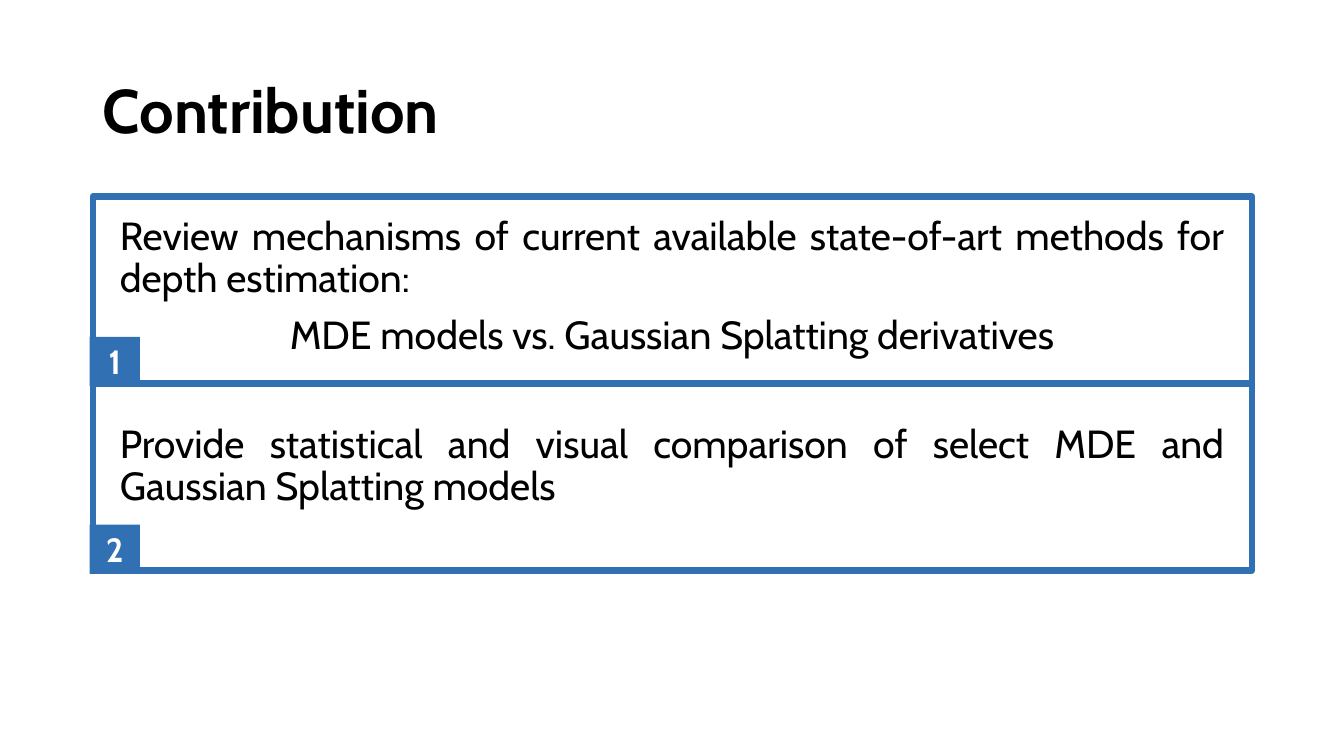
from pptx import Presentation
from pptx.dml.color import RGBColor
from pptx.enum.shapes import MSO_SHAPE
from pptx.enum.text import MSO_ANCHOR, PP_ALIGN
from pptx.util import Cm, Pt

RECTANGLE = MSO_SHAPE.RECTANGLE
TOP, MIDDLE = MSO_ANCHOR.TOP, MSO_ANCHOR.MIDDLE
LEFT, CENTER, JUSTIFY = PP_ALIGN.LEFT, PP_ALIGN.CENTER, PP_ALIGN.JUSTIFY

FONT = "Cabin"
BLUE, BLACK, WHITE = "3070B3", "000000", "FFFFFF"

PANEL_LEFT, PANEL_WIDTH, PANEL_HEIGHT = 2.34, 29.21, 4.7
FIRST_PANEL_TOP, PANEL_PITCH = 4.95, 4.73
BADGE_LEFT, BADGE_DROP = 2.26, 3.54

# Each panel: top of its text, then its paragraphs with their alignment
PANELS = [
    (5.33, [
        ("Review mechanisms of current available state-of-art methods for "
         "depth estimation:", JUSTIFY),
        ("MDE models vs. Gaussian Splatting derivatives", CENTER),
    ]),
    (10.57, [
        ("Provide statistical and visual comparison of select MDE and "
         "Gaussian Splatting models ", JUSTIFY),
    ]),
]


def color(value):
    return RGBColor.from_string(value)


def add_span(para, text, size, fill, bold=False):
    span = para.add_run()
    span.text = text
    span.font.name = FONT
    span.font.size = Pt(size)
    span.font.bold = bold
    span.font.color.rgb = color(fill)


def add_text(page, left, top, width, height, paragraphs, size,
             bold=False, anchor=TOP, space_before=0):
    """Add a text box from (text, alignment) pairs."""
    box = page.shapes.add_textbox(Cm(left), Cm(top), Cm(width), Cm(height))
    frame = box.text_frame
    frame.word_wrap = True
    frame.vertical_anchor = anchor
    for index, (text, alignment) in enumerate(paragraphs):
        para = frame.add_paragraph() if index else frame.paragraphs[0]
        para.alignment = alignment
        para.line_spacing = 0.9
        para.space_before = Pt(space_before)
        add_span(para, text, size, BLACK, bold)


def add_rectangle(page, left, top, width, height):
    box = page.shapes.add_shape(RECTANGLE, Cm(left), Cm(top), Cm(width), Cm(height))
    box.shadow.inherit = False
    return box


def add_badge(page, top, number):
    badge = add_rectangle(page, BADGE_LEFT, top, 1.27, 1.24)
    badge.fill.solid()
    badge.fill.fore_color.rgb = color(BLUE)
    badge.line.fill.background()
    frame = badge.text_frame
    frame.margin_left = frame.margin_right = 0
    frame.margin_top = frame.margin_bottom = 0
    frame.vertical_anchor = MIDDLE
    para = frame.paragraphs[0]
    para.alignment = CENTER
    add_span(para, str(number), 24, WHITE, bold=True)


def add_panel(page, top):
    panel = add_rectangle(page, PANEL_LEFT, top, PANEL_WIDTH, PANEL_HEIGHT)
    panel.fill.background()
    panel.line.color.rgb = color(BLUE)
    panel.line.width = Pt(4.5)


def main():
    deck = Presentation()
    deck.slide_width, deck.slide_height = Cm(33.87), Cm(19.05)
    page = deck.slides.add_slide(deck.slide_layouts[6])

    add_text(page, PANEL_LEFT, 1.02, PANEL_WIDTH, 3.68,
             [("Contribution", LEFT)], 44, bold=True, anchor=MIDDLE)
    for index, (text_top, paragraphs) in enumerate(PANELS):
        top = FIRST_PANEL_TOP + index * PANEL_PITCH
        add_badge(page, top + BADGE_DROP, index + 1)
        add_panel(page, top)
        add_text(page, 2.77, text_top, 28.32, 4.06, paragraphs, 28, space_before=10)

    deck.save("out.pptx")


if __name__ == "__main__":
    main()
